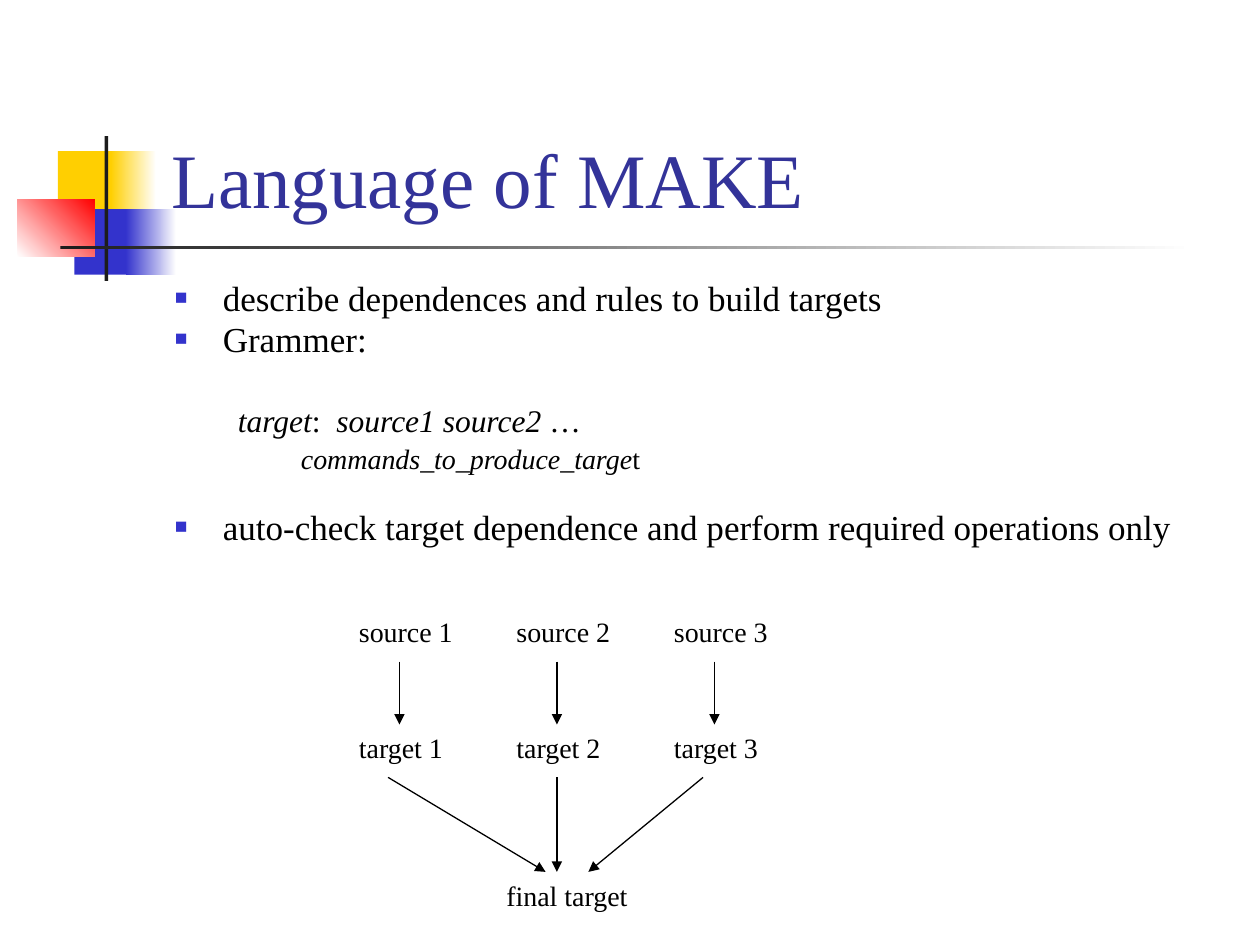
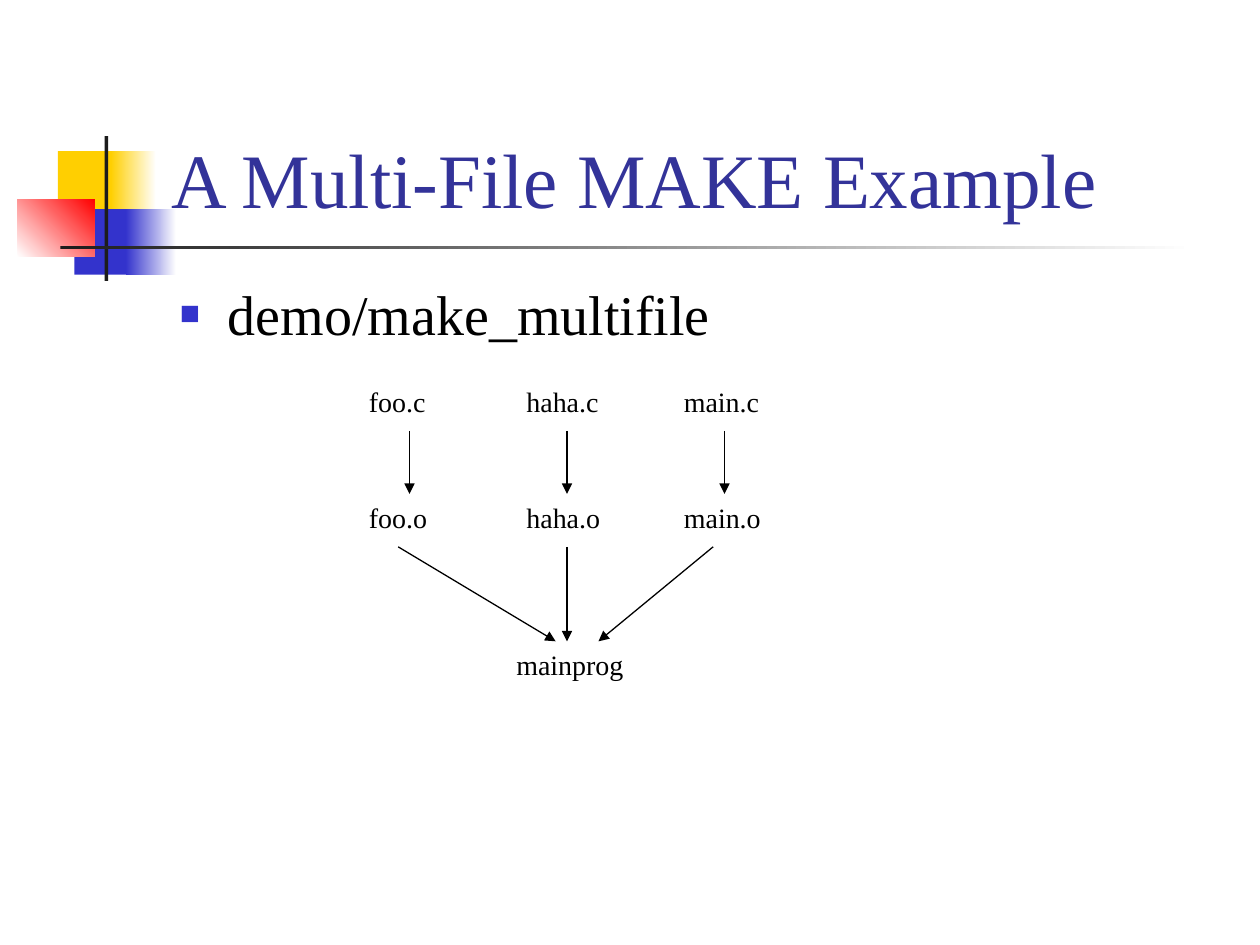
"""Build two slides on the language of MAKE, each with a dependency diagram."""
import pptx
import pptx.dml.color
import pptx.enum.shapes
import pptx.enum.text
import pptx.oxml.ns
import pptx.util
from lxml import etree
from pptx.util import Inches

FONT = "Times New Roman"
BLACK, WHITE, TITLE_BLUE = "000000", "FFFFFF", "333399"
YELLOW, BLUE, RED, CHARCOAL = "FFCF01", "3333CC", "FF0000", "1C1C1C"

BANDS = [
    (0.46, 1.2, 0.48, 0.52, [YELLOW], 0),
    (0.88, 1.2, 0.36, 0.52, [YELLOW, WHITE], 0),
    (0.59, 1.66, 0.46, 0.52, [BLUE], 0),
    (1, 1.66, 0.4, 0.52, [BLUE, WHITE], 0),
    (0.14, 1.58, 0.61, 0.46, [WHITE, RED], 45),
    (0.83, 1.08, 0.03, 1.15, [CHARCOAL], 0),
    (0.48, 1.95, 9, 0.03, [CHARCOAL, WHITE], 0),
]

COLUMN_STEP = 1.25
LABEL_HEIGHT = 0.37
MERGE_ARROWS = [(0.33, 1.58), (1.67, 1.67), (2.83, 1.92)]

SLIDES = [
    {
        "title": "Language of MAKE",
        "body_at": (1.29, 2.21, 8.5, 2.54),
        "line_spacing": 0.8,
        "body": [
            (20, 4.5, 0.38, -0.38, True,
             [("describe dependences and rules to build targets", False)]),
            (20, 4.5, 0.38, -0.38, True, [("Grammer:", False)]),
            (18, 28, 0.81, -0.31, False,
             [("target", True), (":  ", False),
              ("source1 source2", True), (" …", False)]),
            (16, 5, 1.25, -0.25, False,
             [("commands_to_produce_targe", True), ("t", False)]),
            (20, 22.5, 0.38, -0.38, True,
             [("auto-check target dependence and perform required operations only", False)]),
        ],
        "diagram_at": (2.75, 4.83),
        "sources": [("source 1", 0.95), ("source 2", 0.95), ("source 3", 0.95)],
        "targets": [("target 1", 0.88), ("target 2", 0.88), ("target 3", 0.88)],
        "final": ("final target", 1.18),
    },
    {
        "title": "A Multi-File MAKE Example",
        "body_at": (1.33, 2.17, 8.5, 0.67),
        "line_spacing": 1.0,
        "body": [(32, 6.4, 0.38, -0.38, True, [("demo/make_multifile", False)])],
        "diagram_at": (2.83, 3),
        "sources": [("foo.c", 0.65), ("haha.c", 0.78), ("main.c", 0.8)],
        "targets": [("foo.o", 0.66), ("haha.o", 0.79), ("main.o", 0.81)],
        "final": ("mainprog", 1.06),
    },
]


def rgb(value):
    return pptx.dml.color.RGBColor.from_string(value)


def add_run(paragraph, text, size, color=BLACK, italic=False):
    run = paragraph.add_run()
    run.text = text
    run.font.name = FONT
    run.font.size = pptx.util.Pt(size)
    run.font.italic = italic
    run.font.color.rgb = rgb(color)


deck = pptx.Presentation()
deck.slide_width, deck.slide_height = Inches(10), Inches(7.5)

for content in SLIDES:
    slide = deck.slides.add_slide(deck.slide_layouts[6])

    for left, top, width, height, colors, angle in BANDS:
        band = slide.shapes.add_shape(
            pptx.enum.shapes.MSO_SHAPE.RECTANGLE,
            Inches(left), Inches(top), Inches(width), Inches(height))
        band.shadow.inherit = False
        band.line.fill.background()
        if len(colors) == 1:
            band.fill.solid()
            band.fill.fore_color.rgb = rgb(colors[0])
        else:
            band.fill.gradient()
            band.fill.gradient_angle = angle
            for stop, color in zip(band.fill.gradient_stops, colors):
                stop.color.rgb = rgb(color)

    title = slide.shapes.add_textbox(
        Inches(1.26), Inches(0.23), Inches(8.52), Inches(1.6)).text_frame
    title.word_wrap = True
    title.vertical_anchor = pptx.enum.text.MSO_ANCHOR.BOTTOM
    add_run(title.paragraphs[0], content["title"], 44, TITLE_BLUE)

    body = slide.shapes.add_textbox(*map(Inches, content["body_at"])).text_frame
    body.word_wrap = True
    for index, (size, before, margin, indent, bulleted, runs) in enumerate(content["body"]):
        paragraph = body.add_paragraph() if index else body.paragraphs[0]
        paragraph.line_spacing = content["line_spacing"]
        paragraph.space_before = pptx.util.Pt(before)
        properties = paragraph._p.get_or_add_pPr()
        properties.set("marL", str(Inches(margin)))
        properties.set("indent", str(Inches(indent)))
        if bulleted:
            bullet_color = etree.SubElement(properties, pptx.oxml.ns.qn("a:buClr"))
            etree.SubElement(bullet_color, pptx.oxml.ns.qn("a:srgbClr"), val=BLUE)
            etree.SubElement(properties, pptx.oxml.ns.qn("a:buSzPct"), val="60000")
            etree.SubElement(properties, pptx.oxml.ns.qn("a:buFont"), typeface=FONT)
            etree.SubElement(properties, pptx.oxml.ns.qn("a:buChar"), char="■")
        for text, italic in runs:
            add_run(paragraph, text, size, italic=italic)

    diagram = slide.shapes.add_group_shape()
    x0, y0 = content["diagram_at"]
    labels = [(*content["final"], 1.17, 2.09)]
    arrows = [(start, 1.34, end, 2.09) for start, end in MERGE_ARROWS]
    for column, (source, target) in enumerate(zip(content["sources"], content["targets"])):
        x = column * COLUMN_STEP
        labels += [(*source, x, 0), (*target, x, 0.92)]
        arrows.append((x + 0.42, 0.42, x + 0.42, 0.92))

    for text, width, x, y in labels:
        label = diagram.shapes.add_textbox(
            Inches(x0 + x), Inches(y0 + y), Inches(width), Inches(LABEL_HEIGHT)).text_frame
        label.word_wrap = False
        label.auto_size = pptx.enum.text.MSO_AUTO_SIZE.SHAPE_TO_FIT_TEXT
        add_run(label.paragraphs[0], text, 16)

    for x1, y1, x2, y2 in arrows:
        arrow = diagram.shapes.add_connector(
            pptx.enum.shapes.MSO_CONNECTOR.STRAIGHT,
            Inches(x0 + x1), Inches(y0 + y1), Inches(x0 + x2), Inches(y0 + y2))
        arrow.line.color.rgb = rgb(BLACK)
        arrow.line.width = pptx.util.Pt(0.75)
        etree.SubElement(arrow.line._get_or_add_ln(),
                         pptx.oxml.ns.qn("a:tailEnd"), type="triangle")
        etree.SubElement(arrow._element.spPr, pptx.oxml.ns.qn("a:effectLst"))

deck.save("out.pptx")
